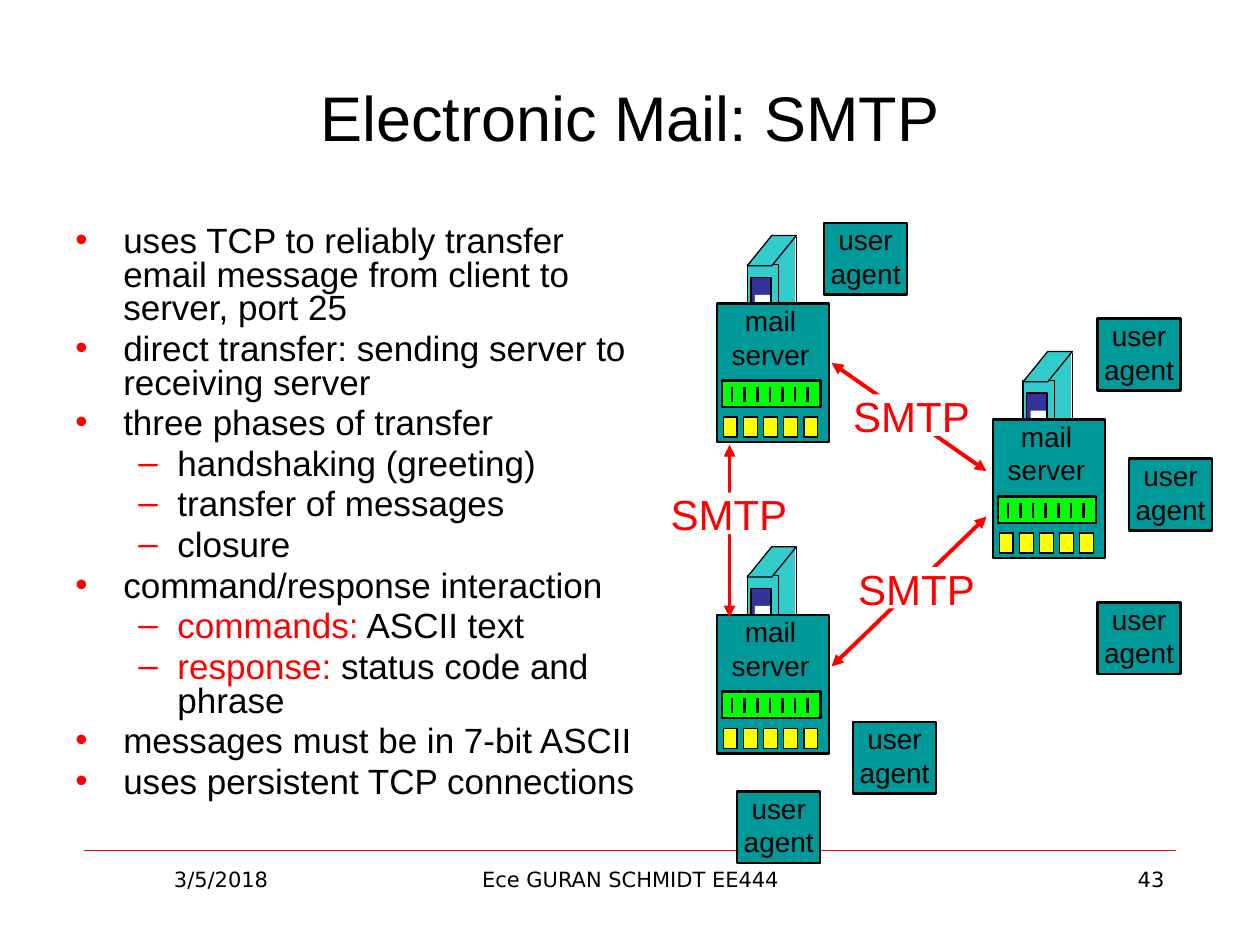
from lxml import etree
from pptx import Presentation
from pptx.dml.color import RGBColor
from pptx.enum import shapes, text
from pptx.oxml import ns
from pptx.util import Inches, Pt

BLACK = RGBColor(0x00, 0x00, 0x00)
WHITE = RGBColor(0xFF, 0xFF, 0xFF)
RED = RGBColor(0xFF, 0x00, 0x00)
TEAL = RGBColor(0x00, 0x99, 0x99)
AQUA = RGBColor(0x33, 0xCC, 0xCC)
NAVY = RGBColor(0x33, 0x33, 0x99)
GREEN = RGBColor(0x00, 0xFF, 0x00)
YELLOW = RGBColor(0xFF, 0xFF, 0x00)
LEFT, CENTER, RIGHT = text.PP_ALIGN.LEFT, text.PP_ALIGN.CENTER, text.PP_ALIGN.RIGHT
RECTANGLE = shapes.MSO_SHAPE.RECTANGLE
PARALLELOGRAM = shapes.MSO_SHAPE.PARALLELOGRAM

presentation = Presentation()
presentation.slide_width, presentation.slide_height = Inches(10), Inches(7.5)
slide = presentation.slides.add_slide(presentation.slide_layouts[6])


def draw(preset, left, top, width, height, fill=None, line=None, weight=0.75):
    """Add a preset shape, or a straight connector when preset is None."""
    if preset is None:
        shape = slide.shapes.add_connector(
            shapes.MSO_CONNECTOR.STRAIGHT, Inches(left), Inches(top),
            Inches(left + width), Inches(top + height))
    else:
        shape = slide.shapes.add_shape(
            preset, Inches(left), Inches(top), Inches(width), Inches(height))
        shape.shadow.inherit = False
        shape.fill.solid()
        shape.fill.fore_color.rgb = fill
    if line is None:
        shape.line.fill.background()
    else:
        shape.line.color.rgb = line
        shape.line.width = Pt(weight)
    if preset is None:
        etree.SubElement(shape._element.spPr, ns.qn("a:effectLst"))
    return shape


def write(left, top, width, height, paragraphs, align=CENTER, wrap=True, **font):
    """Add a text box; each paragraph is a list of (text, colour) runs."""
    box = slide.shapes.add_textbox(Inches(left), Inches(top), Inches(width), Inches(height))
    frame = box.text_frame
    frame.word_wrap = wrap
    for index, runs in enumerate(paragraphs):
        paragraph = frame.paragraphs[0] if index == 0 else frame.add_paragraph()
        paragraph.alignment = align
        for words, color in runs:
            run = paragraph.add_run()
            run.text = words
            run.font.color.rgb = color
            for name, value in font.items():
                setattr(run.font, name, value)
    return frame


# Footer
footer_font = {"size": Pt(12), "name": "DejaVu Sans"}
draw(None, 0.67, 6.75, 8.66, 0, line=RED, weight=0.25)
for left, width, words, align in [
    (0.67, 2.17, "3/5/2018", CENTER),
    (3.42, 3.17, "Ece GURAN SCHMIDT EE444", CENTER),
    (7.17, 2.17, "43", RIGHT),
]:
    write(left, 6.83, width, 0.52, [[(words, BLACK)]], align, **footer_font)

# Title
title = write(0.5, 0.3, 9, 1.25, [[("Electronic Mail: SMTP", BLACK)]],
              size=Pt(36), name="Arial")
title.vertical_anchor = text.MSO_ANCHOR.MIDDLE

# Bulleted list: level and runs
points = [
    (0, [("uses TCP to reliably transfer email message from client to server, port 25", BLACK)]),
    (0, [("direct transfer: sending server to receiving server", BLACK)]),
    (0, [("three phases of transfer", BLACK)]),
    (1, [("handshaking (greeting)", BLACK)]),
    (1, [("transfer of messages", BLACK)]),
    (1, [("closure", BLACK)]),
    (0, [("command/response interaction", BLACK)]),
    (1, [("commands:", RED), (" ASCII text", BLACK)]),
    (1, [("response:", RED), (" status code and phrase", BLACK)]),
    (0, [("messages must be in 7-bit ASCII", BLACK)]),
    (0, [("uses persistent TCP connections", BLACK)]),
]
bullets = [("•", 0.38, -0.38), ("–", 0.81, -0.31)]
body = write(0.5, 1.75, 4.72, 4.95, [runs for level, runs in points], LEFT,
             size=Pt(20), name="Arial")
for index, (paragraph, (level, runs)) in enumerate(zip(body.paragraphs, points)):
    mark, margin, indent = bullets[level]
    properties = paragraph._p.get_or_add_pPr()
    properties.set("marL", str(Inches(margin)))
    properties.set("indent", str(Inches(indent)))
    bullet_color = etree.SubElement(properties, ns.qn("a:buClr"))
    etree.SubElement(bullet_color, ns.qn("a:srgbClr"), val=str(RED))
    etree.SubElement(properties, ns.qn("a:buFont"), typeface="Arial")
    etree.SubElement(properties, ns.qn("a:buChar"), char=mark)
    spacing = {"level": level, "line_spacing": 0.8, "space_before": Pt(4 if index else 0)}
    for name, value in spacing.items():
        setattr(paragraph, name, value)

# Mail servers, placed by the top left corner of the front panel
label_font = {"size": Pt(16), "name": "Arial", "wrap": False}
for x, y in [(7.88, 3.33), (5.69, 4.88), (5.69, 2.41)]:
    # Tower behind the panel
    draw(RECTANGLE, x + 0.44, y - 0.54, 0.18, 0.78, AQUA)
    draw(RECTANGLE, x + 0.24, y - 0.31, 0.25, 0.78, AQUA, BLACK)
    roof = draw(PARALLELOGRAM, x + 0.24, y - 0.54, 0.39, 0.24, AQUA, BLACK)
    roof.adjustments[0] = 0.81
    draw(None, x + 0.63, y - 0.53, 0, 0.77, line=BLACK)
    draw(RECTANGLE, x + 0.27, y - 0.21, 0.16, 0.45, NAVY, BLACK)
    draw(RECTANGLE, x + 0.3, y - 0.07, 0.12, 0.16, WHITE)
    # Front panel
    draw(RECTANGLE, x, y, 0.89, 1.1, TEAL, BLACK, 1.5)
    write(x + 0.01, y - 0.05, 0.83, 0.64,
          [[("mail", BLACK)], [("server", BLACK)]], **label_font)
    # Message queue and mailboxes
    draw(RECTANGLE, x + 0.04, y + 0.61, 0.78, 0.21, GREEN, BLACK, 1.5)
    for slot in range(7):
        draw(None, x + 0.12 + 0.1 * slot, y + 0.66, 0, 0.12, line=BLACK, weight=1.5)
    for mailbox in range(5):
        draw(RECTANGLE, x + 0.05 + 0.16 * mailbox, y + 0.9, 0.11, 0.16, YELLOW, BLACK)

# User agents
for x, y in [(8.71, 2.53), (8.96, 3.64), (8.71, 4.78), (6.77, 5.73), (5.85, 6.28), (6.54, 1.77)]:
    draw(RECTANGLE, x, y, 0.66, 0.57, TEAL, BLACK, 1.5)
    write(x - 0.06, y - 0.05, 0.78, 0.64,
          [[("user", BLACK)], [("agent", BLACK)]], **label_font)

# Two-way arrows between the servers
for x, y, width, height in [
    (6.6, 2.88, 1.23, 0.86), (6.6, 5.29, 1.23, -1.19), (5.79, 4.9, 0, -1.37),
]:
    arrow = draw(None, x, y, width, height, line=RED, weight=2.25)
    outline = arrow._element.spPr.find(ns.qn("a:ln"))
    for end in ("a:headEnd", "a:tailEnd"):
        etree.SubElement(outline, ns.qn(end), type="triangle")

# Protocol labels on the arrows
for x, y in [(6.8, 4.5), (6.76, 3.13), (5.31, 3.91)]:
    draw(RECTANGLE, x, y, 0.94, 0.33, WHITE)
    write(x - 0.09, y - 0.08, 1.13, 0.5, [[("SMTP", RED)]],
          wrap=False, size=Pt(24), name="Arial")

presentation.save("out.pptx")
